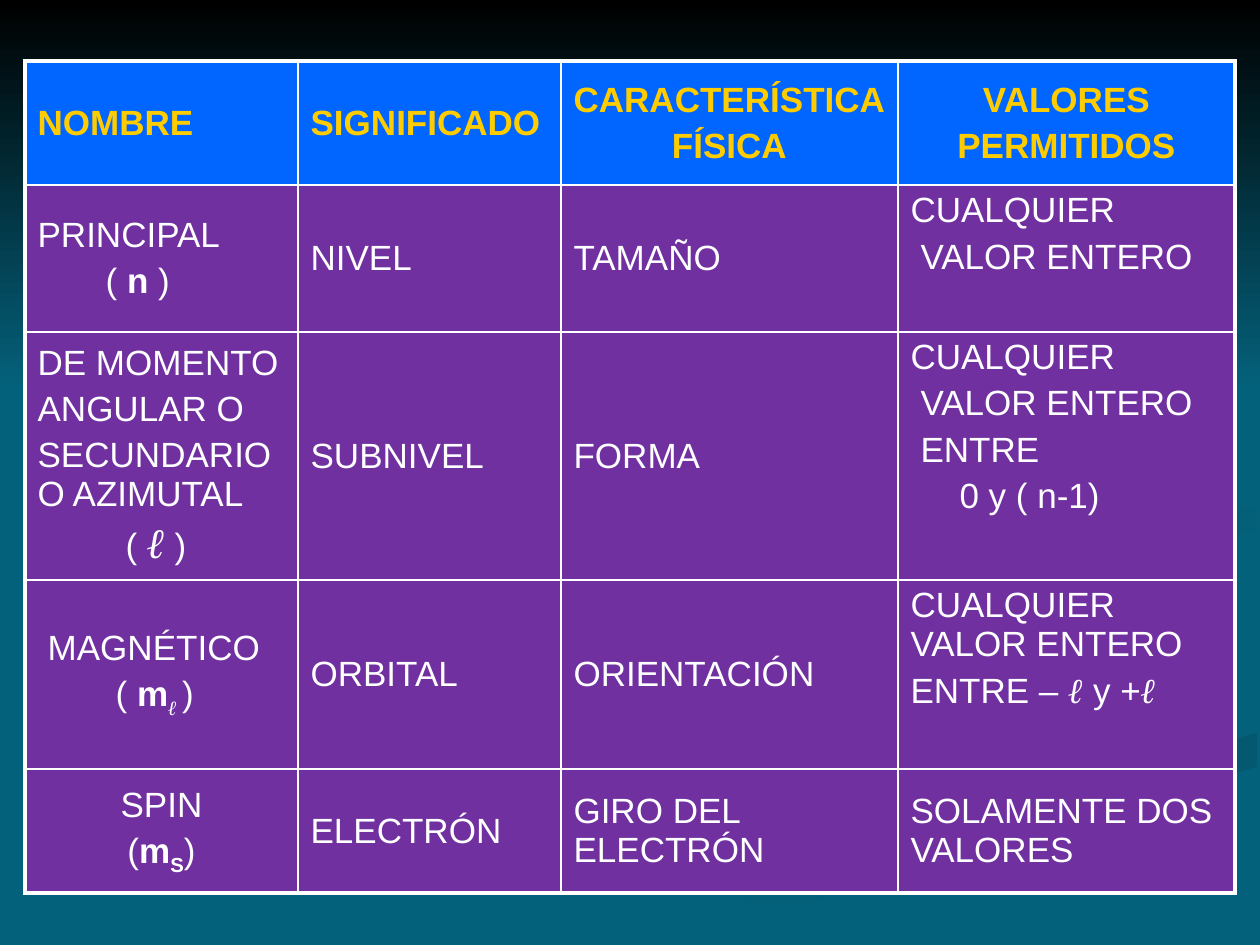
from lxml.etree import SubElement as Sub
from pptx import Presentation
from pptx.dml.color import RGBColor as Rgb
from pptx.enum.shapes import MSO_SHAPE as Kind
from pptx.enum.text import MSO_ANCHOR as Anchor, PP_ALIGN as Align
from pptx.oxml.ns import qn
from pptx.util import Emu, Pt

EMU = 914400 / 126
HUE = {
    "sea": "04617B", "black": "000000", "white": "FFFFFF", "gold": "FFCC00",
    "blue": "0066FF", "plum": "7030A0",
    "deep": "045D76", "dark": "045971", "dim": "045C74", "dusk": "045A72",
}
COLS = [273, 263, 337, 337]
ROWS = [124, 147, 248, 189, 124]
MID, JUST = Align.CENTER, Align.JUSTIFY

WAVES = [
    ("sea", "deep", 0, [
        (725, 578), (770, 629), (990, 713), (862, 772), (525, 869),
        (378, 944), (455, 944), (629, 866), (1008, 732), (833, 646)]),
    ("sea", "deep", 45, [
        (912, 585), (984, 653), (1157, 732), (1126, 762), (1188, 718),
        (998, 641)]),
    ("dark", "sea", 90, [
        (634, 944), (719, 944), (910, 859), (1257, 767), (1257, 732),
        (876, 843)]),
    ("sea", None, 0, [
        (914, 585), (1188, 718), (936, 810), (601, 944), (635, 944),
        (876, 843), (1259, 732), (1259, 678), (985, 580), (1259, 507),
        (1259, 488), (993, 532)]),
    ("dim", "sea", 45, [
        (985, 580), (1041, 625), (1014, 595), (1257, 529), (1257, 507),
        (1070, 538)]),
    ("dusk", "sea", 45, [
        (861, 542), (1092, 484), (1126, 433), (1034, 329), (961, 294),
        (1120, 422), (961, 501), (731, 568), (784, 630), (751, 581)]),
]


def line(*runs, dent=0, align=None):
    return runs, dent, align


def bold(text, base=0):
    return text, "Arial", 20, False, base


def ell(text="ℓ", size=20, base=0):
    return text, "Times New Roman", size, True, base


GRID = [
    [[line("NOMBRE")], [line("SIGNIFICADO")],
     [line("CARACTERÍSTICA", align=MID), line("FÍSICA", align=MID)],
     [line("VALORES", align=MID), line("PERMITIDOS", align=MID)]],
    [[line("PRINCIPAL"), line("( ", bold("n"), " )", dent=68)],
     [line("NIVEL")], [line("TAMAÑO")],
     [line("CUALQUIER"), line("VALOR ENTERO", dent=10)]],
    [[line("DE MOMENTO", align=JUST), line("ANGULAR O", align=JUST),
      line("SECUNDARIO O AZIMUTAL", align=JUST),
      line("( ", ell(size=24), " )", dent=88)],
     [line("SUBNIVEL")], [line("FORMA")],
     [line("CUALQUIER"), line("VALOR ENTERO", dent=10),
      line("ENTRE", dent=10), line("0 y ( n-1)", dent=49)]],
    [[line("MAGNÉTICO", dent=10),
      line("( ", bold("m"), ell("ℓ ", base=-25), ")", dent=78)],
     [line("ORBITAL")], [line("ORIENTACIÓN")],
     [line("CUALQUIER VALOR ENTERO"),
      line("ENTRE – ", ell(), " y +", ell())]],
    [[line("SPIN", align=MID),
      line("(", bold("m"), bold("S", -25), ")", align=MID)],
     [line("ELECTRÓN")], [line("GIRO DEL ELECTRÓN")],
     [line("SOLAMENTE DOS VALORES")]],
]


def px(n):
    return Emu(round(n * EMU))


def rgb(name):
    return Rgb.from_string(HUE[name])


def paint(shape, first, last, turn):
    shape.shadow.inherit = False
    shape.line.fill.background()
    if last is None:
        shape.fill.solid()
        shape.fill.fore_color.rgb = rgb(first)
        return
    shape.fill.gradient()
    shape.fill.gradient_angle = (360 - turn) % 360
    for stop, name, pos in zip(shape.fill.gradient_stops, (first, last), (0, 1)):
        stop.color.rgb = rgb(name)
        stop.position = pos


def add_wave(slide, first, last, turn, dots):
    form = slide.shapes.build_freeform(*dots[0], scale=EMU)
    form.add_line_segments(dots[1:], close=True)
    paint(form.convert_to_shape(), first, last, turn)


def add_glow(slide):
    box = slide.shapes.add_shape(Kind.RECTANGLE, 0, 0, px(1260), px(388))
    paint(box, "black", "sea", 90)


def add_edge(cell, side, wide):
    edge = Sub(cell._tc.get_or_add_tcPr(), qn("a:ln" + side), w=str(Pt(wide)))
    fill = Sub(edge, qn("a:solidFill"))
    Sub(fill, qn("a:srgbClr"), val=HUE["white"])


def add_run(para, item):
    run = para.add_run()
    if isinstance(item, str):
        run.text = item
        return
    text, face, size, slant, base = item
    run.text = text
    run.font.name, run.font.size = face, Pt(size)
    run.font.bold, run.font.italic = True, slant
    if base:
        run._r.get_or_add_rPr().set("baseline", str(base * 1000))


def fill_cell(cell, lines, head):
    frame = cell.text_frame
    for i, (runs, dent, align) in enumerate(lines):
        para = frame.add_paragraph() if i else frame.paragraphs[0]
        if i:
            para.space_before = Pt(4)
        if align is not None:
            para.alignment = align
        if dent:
            para._p.get_or_add_pPr().set("marL", str(px(dent)))
        font = para.font
        font.name, font.size, font.bold = "Arial", Pt(20), head
        font.color.rgb = rgb("gold" if head else "white")
        for item in runs:
            add_run(para, item)


def add_grid(slide):
    tall, wide = len(ROWS), len(COLS)
    table = slide.shapes.add_table(
        tall, wide, px(25), px(61), px(sum(COLS)), px(sum(ROWS))).table
    table.first_row = table.horz_banding = False
    for col, size in zip(table.columns, COLS):
        col.width = px(size)
    for r, (row, size) in enumerate(zip(table.rows, ROWS)):
        row.height = px(size)
        for c, cell in enumerate(row.cells):
            rims = {"L": c == 0, "R": c == wide - 1, "T": r == 0, "B": r == tall - 1}
            for side, rim in rims.items():
                add_edge(cell, side, 2.25 if rim else 1)
            cell.fill.solid()
            cell.fill.fore_color.rgb = rgb("plum" if r else "blue")
            high = c == wide - 1 and 0 < r < tall - 1
            cell.vertical_anchor = Anchor.TOP if high else Anchor.MIDDLE
            fill_cell(cell, GRID[r][c], r == 0)


def main():
    deck = Presentation()
    deck.slide_width, deck.slide_height = px(1260), px(945)
    slide = deck.slides.add_slide(deck.slide_layouts[6])
    back = slide.background.fill
    back.solid()
    back.fore_color.rgb = rgb("sea")
    for wave in WAVES:
        add_wave(slide, *wave)
    add_glow(slide)
    add_grid(slide)
    deck.save("out.pptx")


if __name__ == "__main__":
    main()
